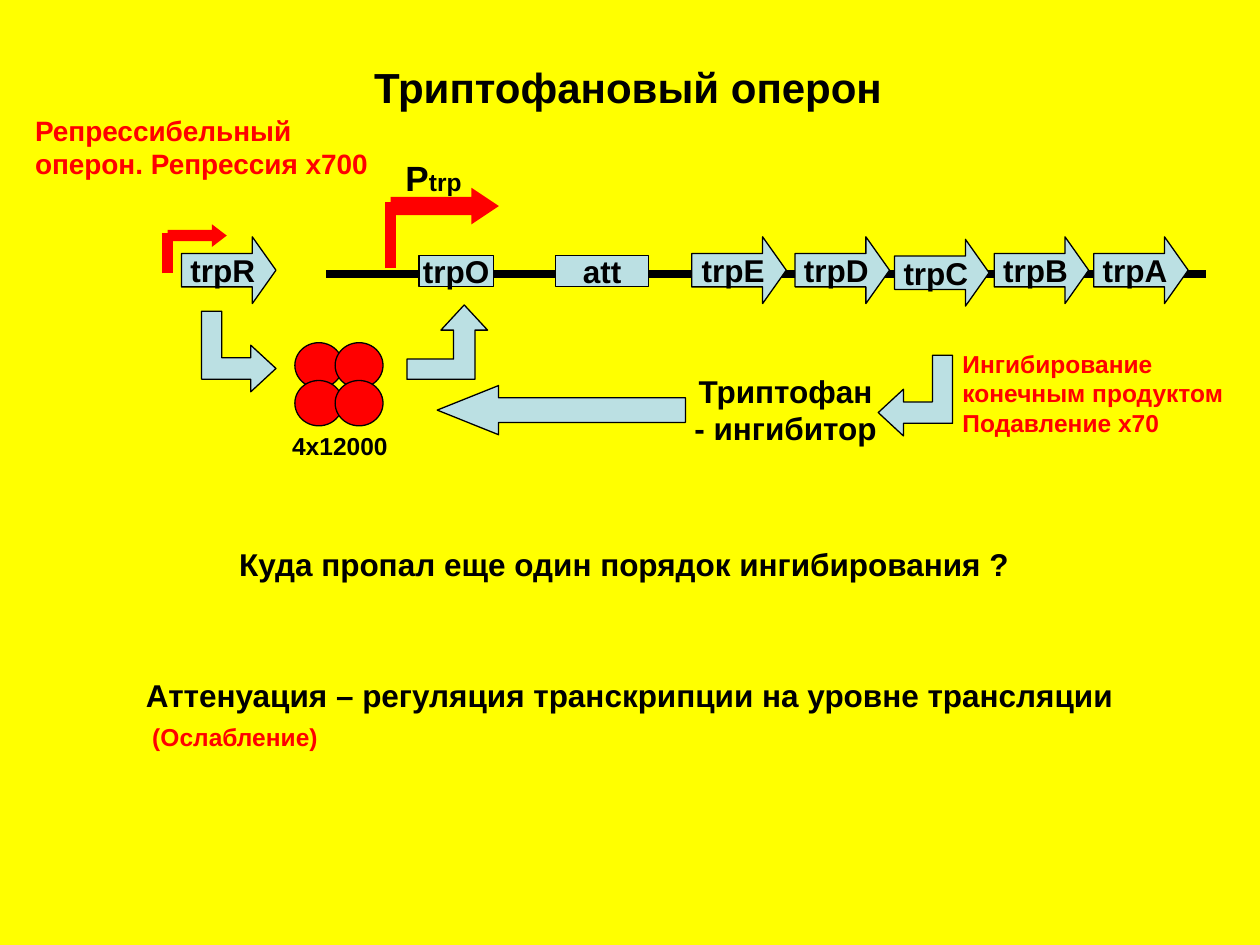
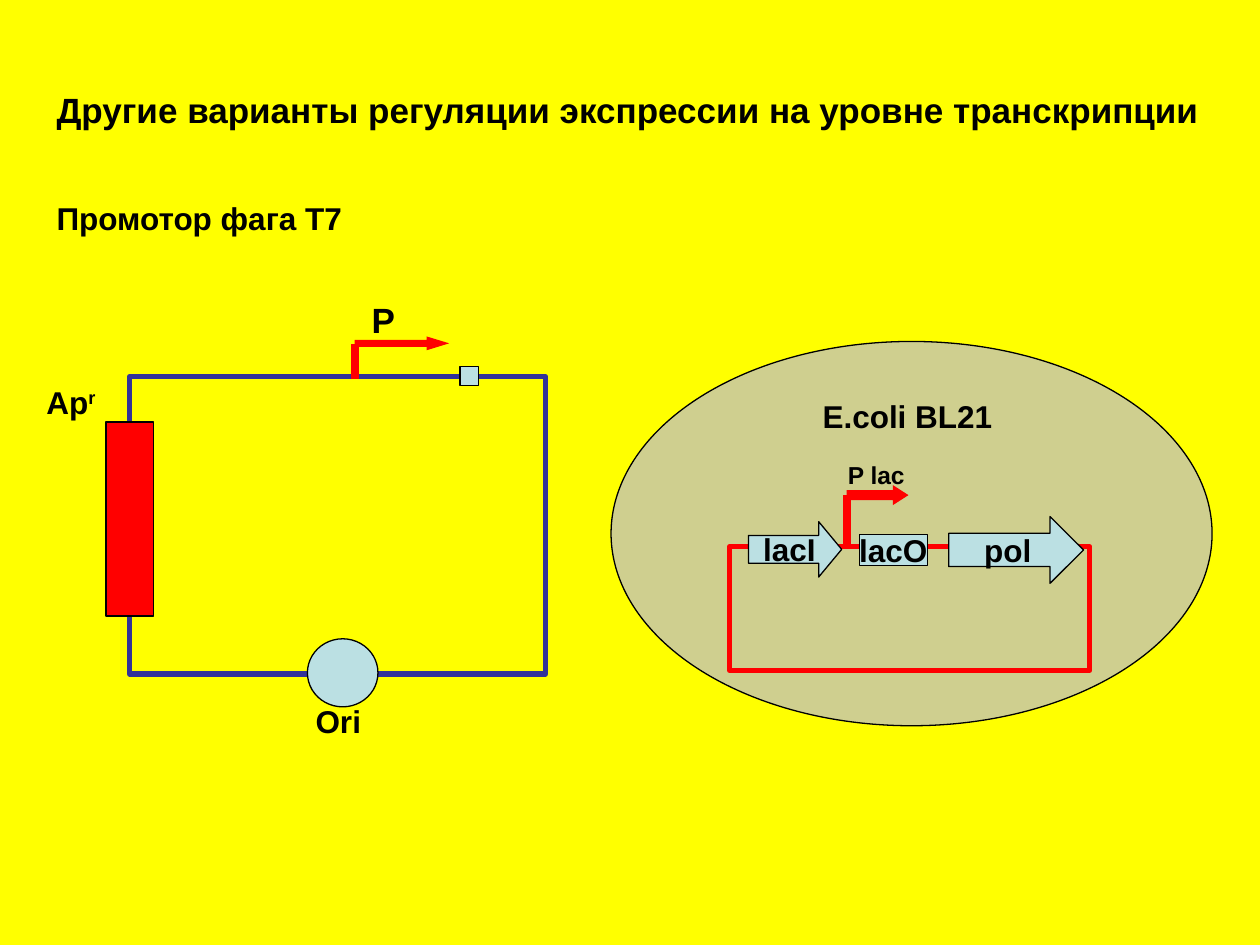
import pptx
import pptx.dml.color
import pptx.enum.shapes
import pptx.enum.text
import pptx.oxml
import pptx.oxml.ns
import pptx.util

SHAPE = pptx.enum.shapes.MSO_SHAPE
ALIGN = pptx.enum.text.PP_ALIGN
COLORS = {
    "background": "FFFF00",
    "ink": "000000",
    "accent": "FF0000",
    "gene": "BBE0E3",
    "plasmid": "333399",
    "cell": "C0C0C0",
}
FONT = "Arial"

# The slide is a grid of 100 columns by 75 rows of square cells
WIDTH, HEIGHT = pptx.util.Inches(10), pptx.util.Inches(7.5)
COLUMNS = 100

# Bent arrow outline: cells along the tail, cells across towards the tip
BENT_OUTLINE = [(0, 1.6), (3.7, 1.6), (3.7, 3.9), (2.7, 3.9), (4.55, 5.9),
                (6.4, 3.9), (5.4, 3.9), (5.4, 0), (0, 0)]


def cells(count):
    return round(count * WIDTH / COLUMNS)


def color(name):
    return pptx.dml.color.RGBColor.from_string(COLORS[name])


def add_page(deck):
    page = deck.slides.add_slide(deck.slide_layouts[6])
    page.background.fill.solid()
    page.background.fill.fore_color.rgb = color("background")
    return page


def add_span(para, text, size, ink="ink", baseline=None):
    span = para.add_run()
    span.text = text
    span.font.name = FONT
    span.font.size = pptx.util.Pt(size)
    span.font.bold = True
    span.font.color.rgb = color(ink)
    if baseline:
        span.font._element.set("baseline", str(baseline * 1000))


def write(frame, text, size=18, ink="ink", align=ALIGN.LEFT, wrap=False):
    frame.word_wrap = wrap
    for index, line in enumerate(text.split("\n")):
        para = frame.add_paragraph() if index else frame.paragraphs[0]
        para.alignment = align
        add_span(para, line, size, ink)
    return para


def add_label(page, text, left, top, width, height, **text_format):
    """Place a text box and return its last paragraph."""
    box = page.shapes.add_textbox(*map(cells, (left, top, width, height)))
    para = write(box.text_frame, text, **text_format)
    box.text_frame.auto_size = pptx.enum.text.MSO_AUTO_SIZE.SHAPE_TO_FIT_TEXT
    return para


def paint(shape, fill=None, line="ink", weight=0.75):
    shape.shadow.inherit = False
    if fill:
        shape.fill.solid()
        shape.fill.fore_color.rgb = color(fill)
    else:
        shape.fill.background()
    if line:
        shape.line.color.rgb = color(line)
        shape.line.width = pptx.util.Pt(weight)
    else:
        shape.line.fill.background()


def add_figure(page, kind, left, top, width, height, text="", head=None, **look):
    """Place a preset shape; head is the arrowhead length relative to height."""
    shape = page.shapes.add_shape(kind, *map(cells, (left, top, width, height)))
    if head:
        shape.adjustments[0] = 0.5
        shape.adjustments[1] = head
    paint(shape, **look)
    if text:
        frame = shape.text_frame
        frame.vertical_anchor = pptx.enum.text.MSO_ANCHOR.MIDDLE
        write(frame, text, align=ALIGN.CENTER)
    return shape


def add_gene(page, name, left, top, width=7.5, height=5.3, head=0.354):
    add_figure(page, SHAPE.RIGHT_ARROW, left, top, width, height,
               text=name, head=head, fill="gene")


def add_site(page, name, left, top, width, height=2.5):
    add_figure(page, SHAPE.RECTANGLE, left, top, width, height,
               text=name, fill="gene")


def add_line(page, start, end, ink, weight):
    line = page.shapes.add_connector(
        pptx.enum.shapes.MSO_CONNECTOR.STRAIGHT, *map(cells, start + end))
    line.line.color.rgb = color(ink)
    line.line.width = pptx.util.Pt(weight)
    line._element.spPr.append(pptx.oxml.parse_xml(
        f"<a:effectLst {pptx.oxml.ns.nsdecls('a')}/>"))


def add_promoter(page, left, bottom, stem_top, arrow_top, width, height,
                 head, weight):
    """A vertical stem with a red arrow pointing right from its top."""
    add_line(page, (left, bottom), (left, stem_top), "accent", weight)
    add_figure(page, SHAPE.RIGHT_ARROW, left, arrow_top, width, height,
               head=head, fill="accent", line=None)


def add_bent_arrow(page, corner, along, across):
    """Lay the bent outline from a corner, along and across two unit vectors."""
    points = [tuple(cells(corner[axis] + u * along[axis] + v * across[axis])
                    for axis in (0, 1)) for u, v in BENT_OUTLINE]
    builder = page.shapes.build_freeform(*points[0])
    builder.add_line_segments(points[1:], close=True)
    paint(builder.convert_to_shape(), fill="gene")


def build_tryptophan_page(deck):
    page = add_page(deck)
    add_line(page, (25.9, 21.75), (95.7, 21.75), "ink", 4.5)
    add_label(page, "Триптофановый оперон", 28.7, 4.4, 42.5, 5, size=24)

    # Promoters of the operon and of the repressor gene
    add_promoter(page, 31, 21.3, 16, 14.9, 8.6, 2.9, head=0.75, weight=6)
    add_promoter(page, 13.3, 21.7, 18.5, 17.8, 4.7, 1.8, head=0.654, weight=6)

    # Repressor of four subunits
    for row in range(2):
        for column in range(2):
            add_figure(page, SHAPE.OVAL, 23.4 + 3.2 * column, 27.2 + 3 * row,
                       3.8, 3.6, fill="accent")
    add_label(page, "4х12000", 22.2, 33.7, 9.6, 3.4, size=14)

    # Genes and regulatory sites
    for name, left, top in [("trpE", 54.9, 18.8), ("trpD", 63.1, 18.8),
                            ("trpC", 71, 19), ("trpB", 78.9, 18.8),
                            ("trpA", 86.8, 18.8), ("trpR", 14.4, 18.8)]:
        add_gene(page, name, left, top)
    add_site(page, "trpO", 33.25, 20.25, 5.9)
    add_site(page, "att", 44.1, 20.25, 7.4)
    promoter_name = add_label(page, "P", 31.2, 11.9, 7, 4.4, size=20)
    add_span(promoter_name, "trp", 14)

    # Flow of regulation
    add_bent_arrow(page, (32.3, 30.1), along=(1, 0), across=(0, -1))
    add_bent_arrow(page, (16, 24.7), along=(0, 1), across=(1, 0))
    add_bent_arrow(page, (75.6, 28.2), along=(0, 1), across=(-1, 0))
    add_figure(page, SHAPE.LEFT_ARROW, 34.7, 30.6, 19.7, 3.9,
               head=1.249, fill="gene")
    add_label(page, "Триптофан\n- ингибитор", 54.1, 29, 16.5, 7,
              align=ALIGN.CENTER)

    # Remarks
    add_label(page, "Репрессибельный оперон. Репрессия х700",
              1.8, 8.5, 31, 6.4, size=16, ink="accent", wrap=True)
    add_label(page, "Ингибирование конечным продуктом\nПодавление х70",
              75.4, 27.2, 22.8, 8, size=14, ink="accent", wrap=True)
    add_label(page, "Куда пропал еще один порядок ингибирования ?",
              18, 42.8, 63.2, 4)
    add_label(page, "Аттенуация – регуляция транскрипции на уровне трансляции",
              10.6, 53.2, 78.9, 4)
    add_label(page, "(Ослабление)", 11.1, 56.8, 15.2, 3.4,
              size=14, ink="accent")


def build_phage_promoter_page(deck):
    page = add_page(deck)
    add_label(page, "Другие варианты регуляции экспрессии на уровне транскрипции",
              3.5, 6.5, 92.9, 4.4, size=20)
    add_label(page, "Промотор фага Т7", 3.5, 15.3, 24.8, 4)

    # Plasmid with resistance gene, origin and promoter
    add_figure(page, SHAPE.RECTANGLE, 10.3, 29.9, 33, 23.6,
               line="plasmid", weight=3)
    add_figure(page, SHAPE.OVAL, 24.4, 50.7, 5.6, 5.4, fill="gene")
    add_label(page, "Ori", 22.6, 55.2, 8.5, 4, align=ALIGN.CENTER, wrap=True)
    add_figure(page, SHAPE.RECTANGLE, 8.4, 33.5, 3.8, 15.4, fill="accent")
    resistance = add_label(page, "Ap", 2.7, 29.9, 8.5, 4, wrap=True)
    add_span(resistance, "r", 18, baseline=30)
    add_promoter(page, 28.15, 30.1, 27.3, 26.7, 7.5, 1.1,
                 head=1.629, weight=4.5)
    add_label(page, "Р", 28.5, 23.2, 3.8, 4.4, size=20)
    add_site(page, "", 36.5, 29.1, 1.5, height=1.5)

    # Host cell, a quarter transparent
    host = add_figure(page, SHAPE.OVAL, 48.5, 27.1, 47.7, 30.5, fill="cell")
    tint = host._element.spPr.find(".//" + pptx.oxml.ns.qn("a:srgbClr"))
    tint.append(pptx.oxml.parse_xml(
        f"<a:alpha {pptx.oxml.ns.nsdecls('a')} val='75000'/>"))

    # Polymerase gene under lac control
    add_figure(page, SHAPE.RECTANGLE, 57.9, 43.4, 28.6, 9.8,
               line="accent", weight=3)
    add_gene(page, "pol", 75.3, 41, width=10.7, head=0.502)
    add_promoter(page, 67.2, 43.2, 39.3, 38.5, 4.9, 1.6,
                 head=0.779, weight=4.5)
    add_site(page, "lacO", 68.2, 42.4, 5.4)
    add_gene(page, "lacI", 59.4, 41.4, width=7.4, height=4.4, head=0.415)
    add_label(page, "E.coli BL21", 64.3, 31, 15.5, 4)
    add_label(page, "P lac", 66.3, 36, 6.5, 3.4, size=14)


def main():
    deck = pptx.Presentation()
    deck.slide_width, deck.slide_height = WIDTH, HEIGHT
    build_tryptophan_page(deck)
    build_phage_promoter_page(deck)
    deck.save("out.pptx")


if __name__ == "__main__":
    main()
